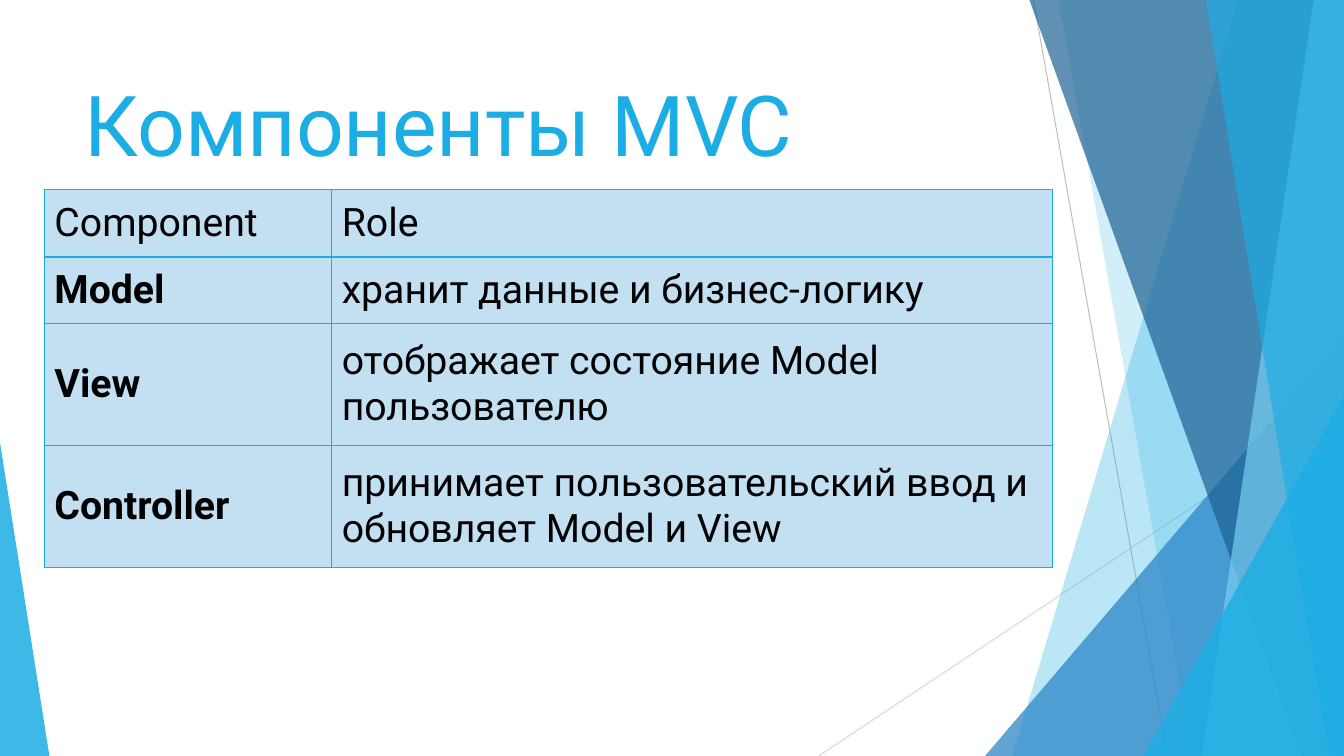
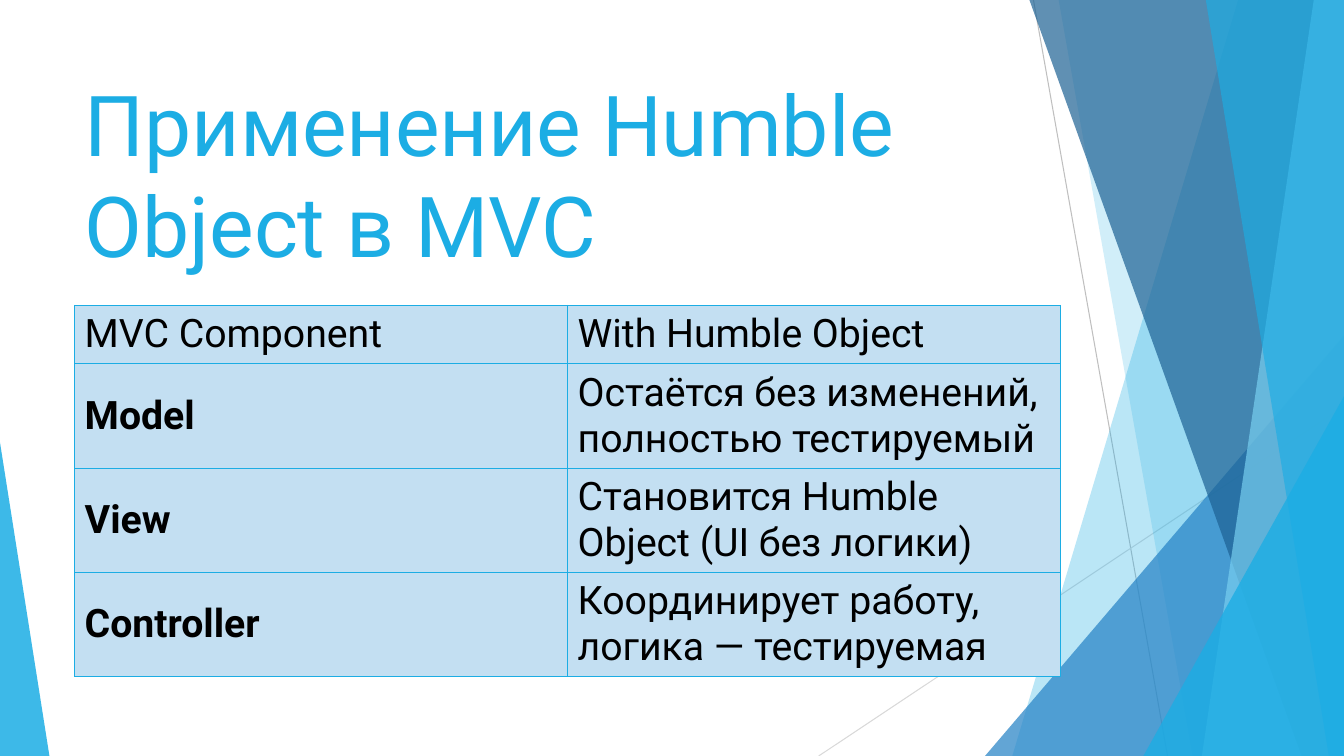
from typing import NamedTuple

from lxml.etree import SubElement
from pptx import Presentation
from pptx.dml.color import RGBColor
from pptx.enum.shapes import MSO_CONNECTOR, MSO_SHAPE
from pptx.enum.text import MSO_ANCHOR
from pptx.oxml.ns import qn
from pptx.util import Pt

PX = 9144
WIDTH, HEIGHT = 1333, 750
FONT = "Roboto"
ACCENT, BLUE, NAVY, SKY = "1CADE4", "2683C6", "1D6294", "77CEEF"
CELL, BLACK = "C3DFF2", "000000"


class Ray(NamedTuple):
    x1: int
    y1: int
    x2: int
    y2: int
    color: str


class Band(NamedTuple):
    top_x: int
    bottom_x: int
    color: str
    alpha: int


class Wedge(NamedTuple):
    x: int
    y: int
    w: int
    apex: int
    color: str
    alpha: int


class Grid(NamedTuple):
    x: int
    y: int
    cols: list[int]
    rows: list[int]
    cells: list[tuple[str, str]]


class Page(NamedTuple):
    title: str
    grid: Grid


DECOR = [
    Ray(1025, 0, 1158, 750, "BFBFBF"),
    Ray(1333, 403, 812, 750, "D9D9D9"),
    Band(1228, 1004, ACCENT, 30),
    Band(1050, 1183, ACCENT, 20),
    Wedge(977, 333, 356, 1, BLUE, 72),
    Band(1021, 1291, NAVY, 70),
    Band(1303, 1192, SKY, 70),
    Band(1196, 1318, ACCENT, 65),
    Wedge(1134, 393, 199, 1, ACCENT, 80),
    Wedge(0, 439, 49, 0, ACCENT, 85),
]

PAGES = [
    Page("Компоненты MVC", Grid(44, 188, [285, 715], [67, 66, 121, 121], [
        ("Component", "Role"),
        ("Model", "хранит данные и бизнес-логику"),
        ("View", "отображает состояние Model пользователю"),
        ("Controller", "принимает пользовательский ввод и обновляет Model и View"),
    ])),
    Page("Применение Humble Object в MVC", Grid(74, 303, [489, 489], [58, 101, 101, 101], [
        ("MVC Component", "With Humble Object"),
        ("Model", "Остаётся без изменений, полностью тестируемый"),
        ("View", "Становится Humble Object (UI без логики)"),
        ("Controller", "Координирует работу, логика — тестируемая"),
    ])),
]


def px(*values: int) -> list[int]:
    return [v * PX for v in values]


def rgb(color: str) -> RGBColor:
    return RGBColor.from_string(color)


def style_run(p, size: int, color: str, bold: bool = False) -> None:
    for r in p.runs:
        r.font.name = FONT
        r.font.size = Pt(size)
        r.font.bold = bold
        r.font.color.rgb = rgb(color)


def paint(sp, color: str, alpha: int) -> None:
    sp.shadow.inherit = False
    sp.fill.solid()
    sp.fill.fore_color.rgb = rgb(color)
    sp.line.fill.background()
    clr = sp.element.spPr.find(".//" + qn("a:srgbClr"))
    SubElement(clr, qn("a:alpha")).set("val", str(alpha * 1000))


def draw_ray(s, ray: Ray) -> None:
    line = s.shapes.add_connector(MSO_CONNECTOR.STRAIGHT, *px(*ray[:4]))
    line.line.color.rgb = rgb(ray.color)
    line.line.width = Pt(0.75)
    SubElement(line.element.spPr, qn("a:effectLst"))


def draw_band(s, band: Band) -> None:
    fb = s.shapes.build_freeform(band.top_x, 0, scale=PX)
    fb.add_line_segments([(WIDTH, 0), (WIDTH, HEIGHT), (band.bottom_x, HEIGHT)], close=True)
    paint(fb.convert_to_shape(), band.color, band.alpha)


def draw_wedge(s, wedge: Wedge) -> None:
    sp = s.shapes.add_shape(
        MSO_SHAPE.ISOSCELES_TRIANGLE, *px(wedge.x, wedge.y, wedge.w, HEIGHT - wedge.y))
    sp.adjustments[0] = wedge.apex
    paint(sp, wedge.color, wedge.alpha)


def draw_title(s, title: str) -> None:
    tf = s.shapes.add_textbox(*px(74, 67, 940, 144)).text_frame
    tf.word_wrap = True
    tf.vertical_anchor = MSO_ANCHOR.TOP
    tf.text = title
    style_run(tf.paragraphs[0], 60, ACCENT)


def border(cell) -> None:
    tc_pr = cell._tc.get_or_add_tcPr()
    for side in ("lnL", "lnR", "lnT", "lnB"):
        ln = SubElement(tc_pr, qn("a:" + side), w=str(Pt(1)))
        fill = SubElement(ln, qn("a:solidFill"))
        SubElement(fill, qn("a:srgbClr"), val=ACCENT)


def draw_grid(s, grid: Grid) -> None:
    table = s.shapes.add_table(
        len(grid.rows), len(grid.cols),
        *px(grid.x, grid.y, sum(grid.cols), sum(grid.rows))).table
    table.first_row = table.horz_banding = False
    for col, w in zip(table.columns, px(*grid.cols)):
        col.width = w
    for row, h in zip(table.rows, px(*grid.rows)):
        row.height = h
    for i, texts in enumerate(grid.cells):
        for j, text in enumerate(texts):
            cell = table.cell(i, j)
            border(cell)
            cell.fill.solid()
            cell.fill.fore_color.rgb = rgb(CELL)
            cell.vertical_anchor = MSO_ANCHOR.MIDDLE
            cell.text_frame.text = text
            style_run(cell.text_frame.paragraphs[0], 28, BLACK, i > 0 and j == 0)


def draw_page(prs, page: Page) -> None:
    s = prs.slides.add_slide(prs.slide_layouts[6])
    painters = {Ray: draw_ray, Band: draw_band, Wedge: draw_wedge}
    for item in DECOR:
        painters[type(item)](s, item)
    draw_title(s, page.title)
    draw_grid(s, page.grid)


def main() -> None:
    prs = Presentation()
    prs.slide_width, prs.slide_height = px(WIDTH, HEIGHT)
    for page in PAGES:
        draw_page(prs, page)
    prs.save("out.pptx")


if __name__ == "__main__":
    main()
